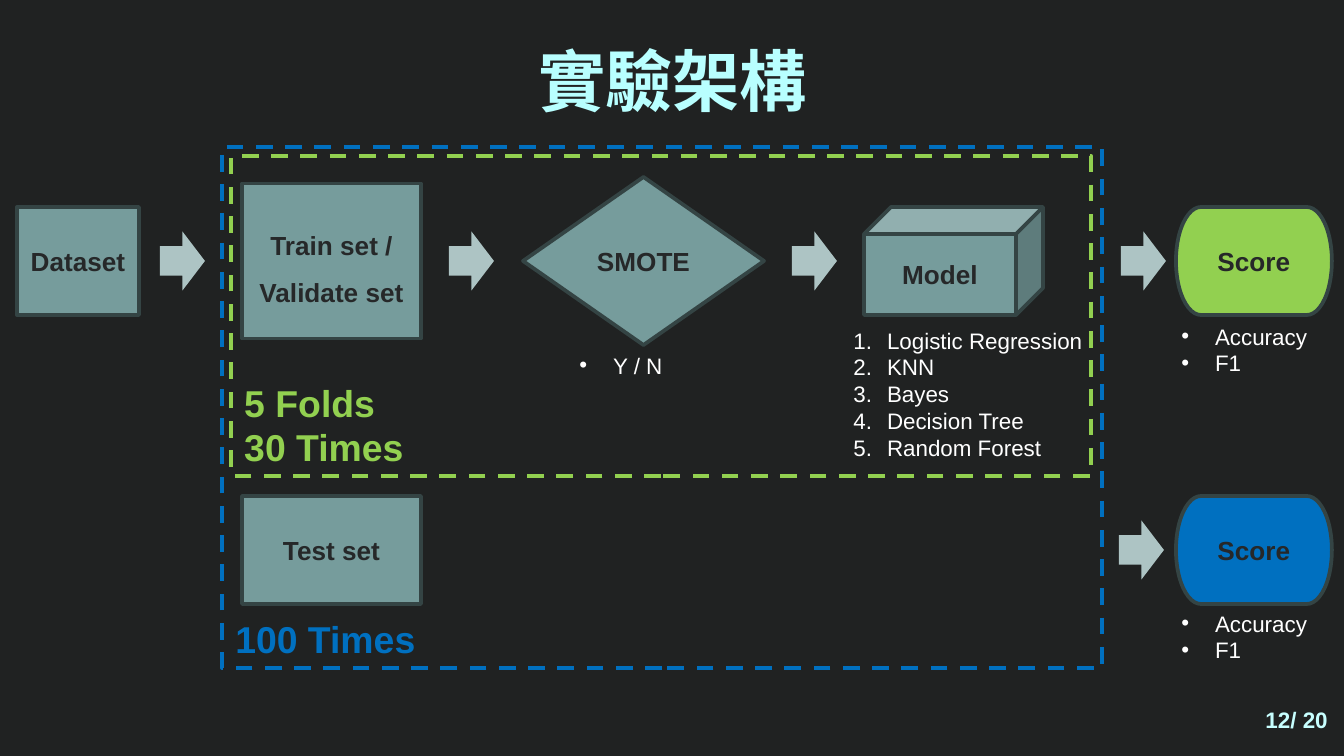
from lxml import etree
from pptx import Presentation
from pptx import util as u
from pptx.dml.color import RGBColor
from pptx.enum import dml, shapes, text
from pptx.oxml import ns

PX = 914400 / 134.4
FONT, CJK_FONT = "Arial", "Noto Sans CJK SC"
COLOURS = {
    "back": "202222", "title": "B8FFFF", "number": "C7FFFF", "white": "FFFFFF",
    "teal": "769C9C", "edge": "344444", "ink": "262829", "arrow": "ADC4C4",
    "green": "92D050", "blue": "0070C0",
}
KIND = shapes.MSO_SHAPE
ALIGN, ANCHOR = text.PP_ALIGN, text.MSO_ANCHOR

TITLE = ("實驗架構", (106, 26, 1133, 85))
PAGE_NUMBER = ("12/ 20", (1039, 700, 302, 40))
ROWS = {"train": 261, "test": 550}  # vertical centres
# label, kind, row, left, width, height, fill, line spacing
NODES = [
    ("Dataset", KIND.RECTANGLE, "train", 17, 122, 108, "teal", 1),
    ("Train set /\nValidate set", KIND.RECTANGLE, "train", 242, 179, 155, "teal", 1.5),
    ("Test set", KIND.RECTANGLE, "test", 242, 179, 108, "teal", 1),
    ("Model", KIND.CUBE, "train", 864, 179, 108, "teal", 1),
    ("SMOTE", KIND.FLOWCHART_DECISION, "train", 523, 241, 168, "teal", 1),
    ("Score", KIND.FLOWCHART_TERMINATOR, "train", 1176, 156, 108, "green", 1),
    ("Score", KIND.FLOWCHART_TERMINATOR, "test", 1176, 156, 108, "blue", 1),
]
FRAMES = [
    ("5 Folds\v30 Times", (231, 156, 860, 320), "green"),
    ("100 Times", (222, 147, 880, 521), "blue"),
]
ARROWS = [("train", 160), ("train", 449), ("train", 792), ("train", 1121), ("test", 1119)]
ARROW_SIZE = (45, 59)
METRICS = ["Accuracy", "F1"]
LISTS = [
    (["Logistic Regression", "KNN", "Bayes", "Decision Tree", "Random Forest"],
     (840, 320, 255, 149), True),
    (METRICS, (1168, 316, 153, 67), False),
    (METRICS, (1168, 603, 153, 67), False),
    (["Y / N"], (566, 345, 153, 40), False),
]


def rgb(name):
    return RGBColor.from_string(COLOURS[name])


def emu(lengths):
    return [u.Emu(round(length * PX)) for length in lengths]


def place(box, area):
    box.left, box.top, box.width, box.height = emu(area)


def write(box, words, size, colour, align, anchor, bold=True, spacing=1, margins=None):
    frame = box.text_frame
    frame.text = words
    settings = {"word_wrap": True, "auto_size": text.MSO_AUTO_SIZE.NONE,
                "vertical_anchor": anchor, **(margins or {})}
    for name, value in settings.items():
        setattr(frame, name, value)
    for para in frame.paragraphs:
        for name, value in {"alignment": align, "line_spacing": spacing,
                            "space_before": u.Pt(0)}.items():
            setattr(para, name, value)
        for span in para.runs:
            for name, value in {"name": FONT, "size": u.Pt(size), "bold": bold}.items():
                setattr(span.font, name, value)
            span.font.color.rgb = rgb(colour)


def add_box(page, kind, area, fill=None, line=None, width=2):
    box = page.shapes.add_shape(kind, *emu(area))
    box.shadow.inherit = False
    if fill:
        box.fill.solid()
        box.fill.fore_color.rgb = rgb(fill)
    else:
        box.fill.background()
    if line:
        box.line.color.rgb = rgb(line)
        box.line.width = u.Pt(width)
    else:
        box.line.fill.background()
    return box


def centred(row, left, width, height):
    return left, ROWS[row] - height / 2, width, height


def add_markers(box, numbered):
    """Give every paragraph a number or a bullet with a hanging indent."""
    for para in box.text_frame.paragraphs:
        props = para._p.get_or_add_pPr()
        props.set("marL", str(u.Inches(0.25)))
        props.set("indent", str(-u.Inches(0.25)))
        colour = etree.SubElement(props, ns.qn("a:buClr"))
        etree.SubElement(colour, ns.qn("a:srgbClr"), val=COLOURS["white"])
        etree.SubElement(props, ns.qn("a:buFont"), typeface=FONT)
        if numbered:
            etree.SubElement(props, ns.qn("a:buAutoNum"), type="arabicPeriod")
        else:
            etree.SubElement(props, ns.qn("a:buChar"), char="•")


def main():
    deck = Presentation()
    deck.slide_width, deck.slide_height = emu((1344, 756))
    page = deck.slides.add_slide(deck.slide_layouts.get_by_name("Comparison"))
    page.background.fill.solid()
    page.background.fill.fore_color.rgb = rgb("back")

    title = page.shapes.title
    place(title, TITLE[1])
    write(title, TITLE[0], 36, "title", ALIGN.CENTER, ANCHOR.TOP,
          margins={"margin_top": u.Inches(0.1), "margin_bottom": u.Inches(0.1)})
    font = title.text_frame.paragraphs[0].runs[0].font
    font.name = CJK_FONT
    etree.SubElement(font._element, ns.qn("a:ea"), typeface=CJK_FONT)

    for label, kind, row, left, width, height, fill, spacing in NODES:
        node = add_box(page, kind, centred(row, left, width, height), fill, "edge")
        write(node, label, 14, "ink", ALIGN.CENTER, ANCHOR.MIDDLE, spacing=spacing,
              margins={"margin_left": 0, "margin_right": 0})

    for label, area, colour in FRAMES:
        frame = add_box(page, KIND.RECTANGLE, area, line=colour, width=2.25)
        frame.line.dash_style = dml.MSO_LINE.DASH
        write(frame, label, 20, colour, ALIGN.LEFT, ANCHOR.BOTTOM)

    for row, left in ARROWS:
        add_box(page, KIND.RIGHT_ARROW, centred(row, left, *ARROW_SIZE), "arrow")

    bodies = [box for box in page.placeholders if box.placeholder_format.idx > 0]
    for body, (items, area, numbered) in zip(bodies, LISTS):
        place(body, area)
        write(body, "\n".join(items), 12, "white", ALIGN.LEFT, ANCHOR.TOP, bold=False,
              margins={"margin_right": 0})
        add_markers(body, numbered)

    number = page.shapes.add_textbox(*emu(PAGE_NUMBER[1]))
    write(number, PAGE_NUMBER[0], 12, "number", ALIGN.RIGHT, ANCHOR.MIDDLE)
    deck.save("out.pptx")


if __name__ == "__main__":
    main()
